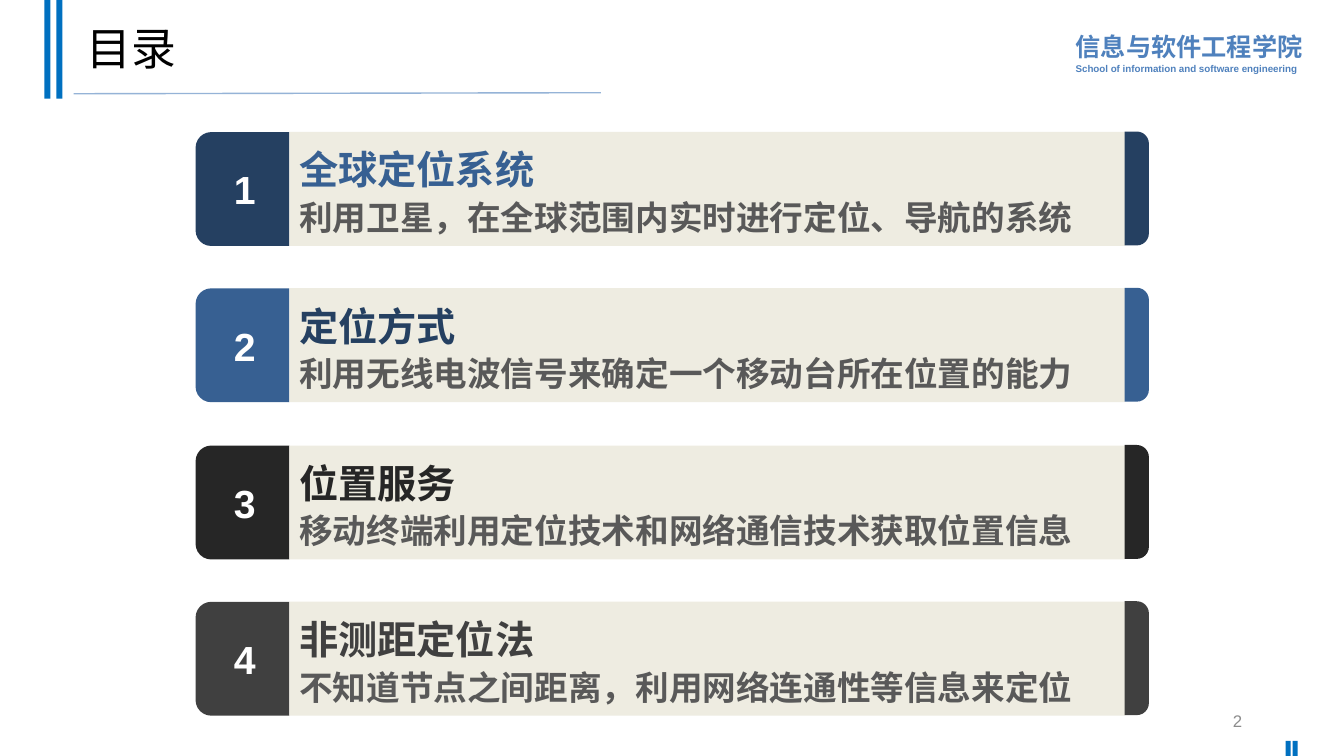
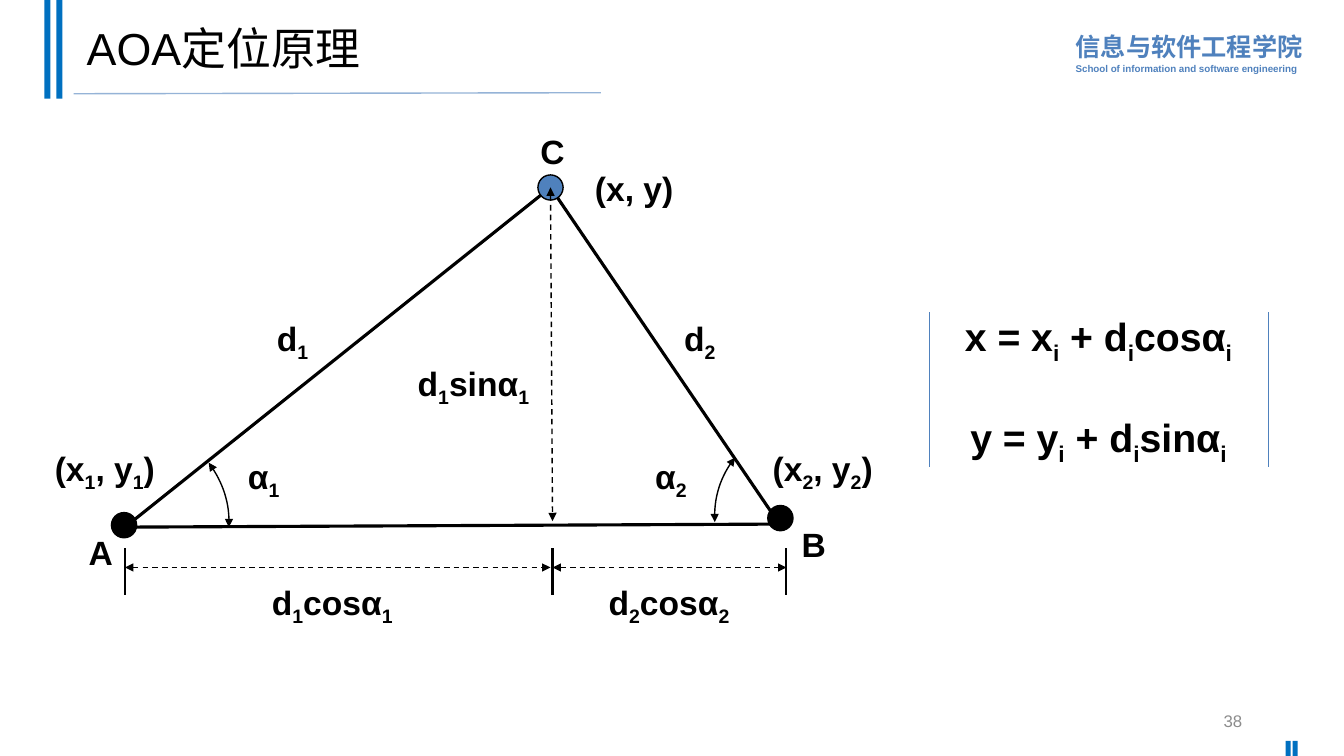
"""Build two slides on wireless positioning: the agenda and the AOA principle."""
from lxml import etree
from pptx import Presentation, util as u
from pptx.dml.color import RGBColor
from pptx.enum import dml, shapes, text
from pptx.oxml.ns import qn

PX = 9144
LATIN, HAN = "Arial", "Noto Sans CJK SC"
BLACK = RGBColor(0x00, 0x00, 0x00)
WHITE = RGBColor(0xFF, 0xFF, 0xFF)
AZURE = RGBColor(0x00, 0x70, 0xC0)
BLUE = RGBColor(0x4F, 0x81, 0xBD)
PALE = RGBColor(0x95, 0xB3, 0xD7)
NAVY = RGBColor(0x25, 0x40, 0x61)
STEEL = RGBColor(0x37, 0x60, 0x92)
COAL = RGBColor(0x26, 0x26, 0x26)
SLATE = RGBColor(0x40, 0x40, 0x40)
GREY = RGBColor(0x59, 0x59, 0x59)
SILVER = RGBColor(0x8C, 0x8C, 0x8C)
CREAM = RGBColor(0xEE, 0xEC, 0xE1)
LEFT, MID, RIGHT = text.PP_ALIGN.LEFT, text.PP_ALIGN.CENTER, text.PP_ALIGN.RIGHT
TOP, CORE = text.MSO_ANCHOR.TOP, text.MSO_ANCHOR.MIDDLE
KIND = shapes.MSO_SHAPE


class Deck:
    """Holds the style and the current slide."""

    def __init__(self):
        self.prs = Presentation()
        self.prs.slide_width, self.prs.slide_height = self.emu(1333, 750)
        self.slide = None

    def emu(self, *sizes):
        return [u.Emu(round(size * PX)) for size in sizes]

    def words(self, frame, lines, align=LEFT, anchor=TOP, bold=True, space=None):
        frame.word_wrap = True
        frame.auto_size = text.MSO_AUTO_SIZE.NONE
        frame.vertical_anchor = anchor
        for i, (line, size, color) in enumerate(lines):
            para = frame.add_paragraph() if i else frame.paragraphs[0]
            para.alignment = align
            if space:
                para.line_spacing = space
            font = para.font
            font.size, font.bold, font.name = u.Pt(size), bold, LATIN
            font.color.rgb = color
            props = para._p.pPr.find(qn("a:defRPr"))
            etree.SubElement(props, qn("a:ea")).set("typeface", HAN)
            self.runs(para, line)

    def runs(self, para, line):
        first, *rest = line.split("_")
        para.add_run().text = first
        for part in rest:
            low = para.add_run()
            low.text = part[0]
            low._r.get_or_add_rPr().set("baseline", "-25000")
            if part[1:]:
                para.add_run().text = part[1:]

    def page(self, title, number):
        self.slide = self.prs.slides.add_slide(self.prs.slide_layouts[5])
        head = self.slide.shapes.title
        head.left, head.top, head.width, head.height = self.emu(76, 7, 1150, 88)
        self.words(head.text_frame, [(title, 32, BLACK)],
                   anchor=CORE, bold=False, space=0.9)
        self.label((1057, 23, 260, 56), [
            ("信息与软件工程学院", 18, BLUE),
            ("School of information and software engineering", 7, BLUE),
        ], LEFT, space=1.1)
        for x in (44, 56):
            self.shape(KIND.RECTANGLE, (x, 0, 6, 98), AZURE)
        for x in (1275, 1282):
            self.shape(KIND.RECTANGLE, (x, 735, 5, 15), AZURE)
        self.line((73, 93), (596, 92), PALE)
        self.label((942, 695, 300, 40), [(number, 12, SILVER)],
                   RIGHT, anchor=CORE, bold=False)

    def label(self, area, lines, align=MID, **style):
        box = self.slide.shapes.add_textbox(*self.emu(*area))
        self.words(box.text_frame, lines, align, **style)

    def shape(self, kind, area, fill, edge=None, turn=0):
        item = self.slide.shapes.add_shape(kind, *self.emu(*area))
        item.shadow.inherit = False
        item.rotation = turn
        item.fill.solid()
        item.fill.fore_color.rgb = fill
        if edge is None:
            item.line.fill.background()
        else:
            self.pen(item.line, edge, 1)
        return item

    def pen(self, line, color, width, dash=False, arrows=False):
        line.color.rgb = color
        line.width = u.Pt(width)
        if dash:
            line.dash_style = dml.MSO_LINE.DASH
        if arrows:
            for tip in ("a:headEnd", "a:tailEnd"):
                etree.SubElement(line._get_or_add_ln(), qn(tip)).set("type", "triangle")

    def line(self, start, end, color=BLACK, width=1, **style):
        item = self.slide.shapes.add_connector(
            shapes.MSO_CONNECTOR.STRAIGHT, *self.emu(*start, *end))
        self.pen(item.line, color, width, **style)
        etree.SubElement(item._element.spPr, qn("a:effectLst"))

    def trace(self, points, width, close=False, **style):
        first, *rest = [self.emu(*point) for point in points]
        form = self.slide.shapes.build_freeform(*first)
        form.add_line_segments(rest, close=close)
        item = form.convert_to_shape()
        item.shadow.inherit = False
        item.fill.background()
        self.pen(item.line, BLACK, width, **style)

    def curve(self, start, bend, end, steps=16):
        points = []
        for i in range(steps + 1):
            t = i / steps
            points.append([(1 - t) ** 2 * a + 2 * t * (1 - t) * b + t * t * c
                           for a, b, c in zip(start, bend, end)])
        self.trace(points, 1, arrows=True)

    def row(self, top, number, name, note, fill, ink):
        tab = self.shape(KIND.ROUND_2_SAME_RECTANGLE,
                         (184, top + 10, 113, 93), fill, turn=270)
        self.words(tab.text_frame, [(number, 28, WHITE)], MID, CORE)
        tab.text_frame._txBody.bodyPr.set("vert", "vert")
        card = self.shape(KIND.RECTANGLE, (287, top, 829, 113), CREAM)
        self.words(card.text_frame, [(name, 28, ink), (note, 24, GREY)],
                   anchor=CORE, space=1.1)
        cap = self.shape(KIND.ROUND_2_SAME_RECTANGLE,
                         (1071, top + 44, 113, 24), fill, turn=90)
        cap.adjustments[0] = 0.5

    def dot(self, x, y, fill):
        self.shape(KIND.OVAL, (x - 12.5, y - 12.5, 25, 25), fill, BLACK)


def agenda(deck):
    deck.page("目录", "2")
    rows = [
        ("全球定位系统", "利用卫星，在全球范围内实时进行定位、导航的系统", NAVY, STEEL),
        ("定位方式", "利用无线电波信号来确定一个移动台所在位置的能力", STEEL, NAVY),
        ("位置服务", "移动终端利用定位技术和网络通信技术获取位置信息", COAL, COAL),
        ("非测距定位法", "不知道节点之间距离，利用网络连通性等信息来定位", SLATE, SLATE),
    ]
    for i, row in enumerate(rows):
        deck.row(131 + 311 * i // 2, str(i + 1), *row)


def angle(deck):
    deck.page("AOA定位原理", "38")
    peak, foot = (546, 186), (548, 517)
    deck.trace([peak, (124, 523), (773, 520)], 2.25, close=True)
    deck.curve((207, 459), (229, 489), (227, 523))
    deck.curve((729, 454), (707, 482), (709, 518))
    for start, end in ((124, 546), (548, 780)):
        deck.line((start, 563), (end, 563), dash=True, arrows=True)
    for x in (124, 548, 780):
        deck.line((x, 544), (x, 590), width=1.5)
    deck.dot(*peak, BLUE)
    deck.line(peak, foot, dash=True, arrows=True)
    deck.dot(123, 521, BLACK)
    deck.dot(774, 514, BLACK)
    labels = [
        ("A", 76, 523, 48), ("B", 783, 515, 48), ("C", 524, 125, 48),
        ("d_1", 234, 310, 112), ("d_2", 638, 310, 112),
        ("α_1", 227, 447, 69), ("α_2", 631, 447, 69),
        ("d_1cosα_1", 227, 572, 205), ("d_2cosα_2", 561, 572, 205),
        ("d_1sinα_1", 367, 355, 205), ("(x, y)", 549, 162, 160),
        ("(x_1, y_1)", 24, 439, 160), ("(x_2, y_2)", 736, 439, 160),
    ]
    for name, x, y, width in labels:
        deck.label((x, y, width, 50), [(name, 24, BLACK)])
    for rule, y in (("x = x_i + d_icosα_i", 305), ("y = y_i + d_isinα_i", 405)):
        deck.label((938, y, 303, 57), [(rule, 28, BLACK)])
    for x in (922, 1258):
        deck.line((x, 310), (x, 463), BLUE, 0.5)


def main():
    deck = Deck()
    agenda(deck)
    angle(deck)
    deck.prs.save("out.pptx")


if __name__ == "__main__":
    main()
